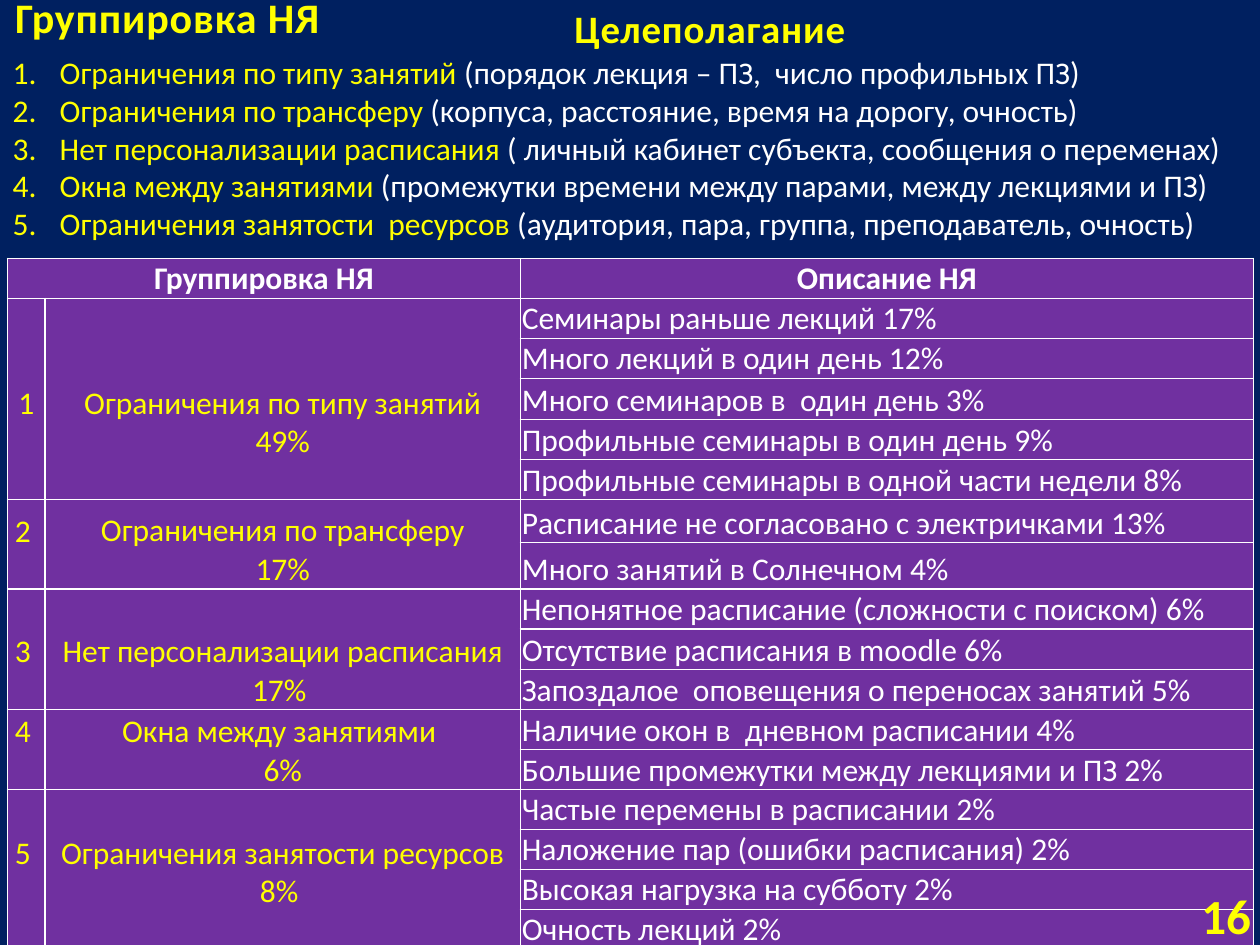
"""Build the slide that groups timetable problems by cause."""
from pptx import Presentation
from pptx.dml.color import RGBColor
from pptx.enum.text import MSO_ANCHOR as Anchor, MSO_AUTO_SIZE as AutoSize, PP_ALIGN as Align
from pptx.oxml.ns import qn
from pptx.util import Cm, Pt
from lxml.etree import SubElement

NAVY = RGBColor(0x00, 0x20, 0x60)
PURPLE = RGBColor(0x70, 0x30, 0xA0)
YELLOW = RGBColor(0xFF, 0xFF, 0x00)
WHITE = RGBColor(0xFF, 0xFF, 0xFF)
LINE = 0.77

GOALS = [
    ("Ограничения по типу занятий ", "(порядок лекция – ПЗ,  число профильных ПЗ)"),
    ("Ограничения по трансферу ", "(корпуса, расстояние, время на дорогу, очность)"),
    ("Нет персонализации расписания ", "( личный кабинет субъекта, сообщения о переменах)"),
    ("Окна между занятиями", " (промежутки времени между парами, между лекциями и ПЗ)"),
    ("Ограничения занятости  ресурсов ", "(аудитория, пара, группа, преподаватель, очность)"),
]

# number, lines below it, label, lines below it, (description, row height)
GROUPS = [
    ("1", 2, ["Ограничения по типу занятий", "49%"], 1, [
        ("Семинары раньше лекций 17%", 0.8),
        ("Много лекций в один день 12%", 0.8),
        ("Много семинаров в  один день 3%", 0.83),
        ("Профильные семинары в один день 9%", 0.8),
        ("Профильные семинары в одной части недели 8%", 0.8)]),
    ("2 ", 1, ["Ограничения по трансферу", "17%"], 0, [
        ("Расписание не согласовано с электричками 13%", 0.87),
        ("Много занятий в Солнечном 4%", 0.93)]),
    ("3 ", 1, ["Нет персонализации расписания", "17% "], 0, [
        ("Непонятное расписание (сложности с поиском) 6%", 0.8),
        ("Отсутствие расписания в moodle 6%", 0.82),
        ("Запоздалое  оповещения о переносах занятий 5%", 0.8)]),
    ("4 ", 1, ["Окна между занятиями ", "6%"], 0, [
        ("Наличие окон в  дневном расписании 4%", 0.8),
        ("Большие промежутки между лекциями и ПЗ 2%", 0.8)]),
    ("5 ", 2, ["Ограничения занятости ресурсов", "8% "], 1, [
        ("Частые перемены в расписании 2%", 0.8),
        ("Наложение пар (ошибки расписания) 2%", 0.8),
        ("Высокая нагрузка на субботу 2%", 0.8),
        ("Очность лекций 2%", 0.8)]),
]


class Deck:
    """Hold the style and the current slide."""

    def __init__(self):
        self.prs = Presentation()
        self.prs.slide_width, self.prs.slide_height = Cm(25.4), Cm(19.05)
        self.s = self.prs.slides.add_slide(self.prs.slide_layouts[1])
        self.s.background.fill.solid()
        self.s.background.fill.fore_color.rgb = NAVY

    def run(self, p, text, color, size=18, bold=False, spacing=0):
        r = p.add_run()
        r.text = text
        r.font.name, r.font.size, r.font.bold = "Calibri", Pt(size), bold
        r.font.color.rgb = color
        if spacing:
            r._r.get_or_add_rPr().set("spc", str(spacing))

    def place(self, sp, box, anchor):
        sp.left, sp.top, sp.width, sp.height = map(Cm, box)
        tf = sp.text_frame
        tf.word_wrap, tf.auto_size, tf.vertical_anchor = True, AutoSize.NONE, anchor
        return tf

    def line(self, sp, box, text, size, align=Align.LEFT, spacing=0):
        p = self.place(sp, box, Anchor.MIDDLE).paragraphs[0]
        p.alignment = align
        self.run(p, text, YELLOW, size, True, spacing)

    def title(self, box, text):
        self.line(self.s.shapes.title, box, text, 24, spacing=50)

    def label(self, box, text, size, **style):
        self.line(self.s.shapes.add_textbox(0, 0, 0, 0), box, text, size, **style)

    def numbered_list(self, box, items):
        tf = self.place(self.s.placeholders[1], box, Anchor.TOP)
        for i, (name, detail) in enumerate(items):
            p = tf.add_paragraph() if i else tf.paragraphs[0]
            p.space_before = Pt(0)
            pPr = p._p.get_or_add_pPr()
            pPr.set("marL", str(Cm(0.95)))
            pPr.set("indent", str(-Cm(0.95)))
            SubElement(pPr, qn("a:buFont"), typeface="+mj-lt")
            SubElement(pPr, qn("a:buAutoNum"), type="arabicPeriod")
            self.run(p, name, YELLOW)
            self.run(p, detail, WHITE)

    def cell(self, c, lines, color, align=Align.CENTER, bold=False, below=0):
        c.vertical_anchor = Anchor.BOTTOM
        c.margin_left = c.margin_right = c.margin_top = Cm(0.03)
        c.margin_bottom = Cm(below * LINE)
        for i, text in enumerate(lines):
            p = c.text_frame.add_paragraph() if i else c.text_frame.paragraphs[0]
            p.alignment = align
            self.run(p, text, color, bold=bold)

    def frame(self, c):
        tcPr = c._tc.get_or_add_tcPr()
        for side in ("lnL", "lnR", "lnT", "lnB"):
            ln = SubElement(tcPr, qn(f"a:{side}"), w=str(Pt(1)))
            SubElement(SubElement(ln, qn("a:solidFill")), qn("a:srgbClr"), val=str(WHITE))
        c.fill.solid()
        c.fill.fore_color.rgb = PURPLE

    def table(self, left, top, widths, headers, groups):
        heights = [0.8] + [h for g in groups for _, h in g[-1]]
        t = self.s.shapes.add_table(len(heights), len(widths), Cm(left), Cm(top),
                                    Cm(sum(widths)), Cm(sum(heights))).table
        t.first_row = t.horz_banding = False
        for col, w in zip(t.columns, widths):
            col.width = Cm(w)
        for row, h in zip(t.rows, heights):
            row.height = Cm(h)
        for c in t.iter_cells():
            self.frame(c)
        t.cell(0, 0).merge(t.cell(0, 1))
        for col, text in zip((0, 2), headers):
            self.cell(t.cell(0, col), [text], WHITE, bold=True)
        top_row = 1
        for number, number_below, name, name_below, rows in groups:
            for col, lines, below in ((0, [number], number_below), (1, name, name_below)):
                c = t.cell(top_row, col)
                c.merge(t.cell(top_row + len(rows) - 1, col))
                self.cell(c, lines, YELLOW, below=below)
            for i, (text, _) in enumerate(rows, top_row):
                self.cell(t.cell(i, 2), [text], WHITE, Align.LEFT)
            top_row += len(rows)


def main():
    d = Deck()
    d.title((0.05, -0.41, 12.17, 1.5), "Группировка НЯ")
    d.numbered_list((0, 0.94, 25.22, 4.11), GOALS)
    d.table(0.15, 5.21, (0.76, 9.58, 14.78), ("Группировка НЯ", "Описание НЯ"), GROUPS)
    d.label((23.06, 17.93, 2.41, 1.02), "16", 28, align=Align.RIGHT)
    d.label((11.33, 0, 6.17, 1.14), "Целеполагание", 22.2, spacing=50)
    d.prs.save("out.pptx")


if __name__ == "__main__":
    main()
